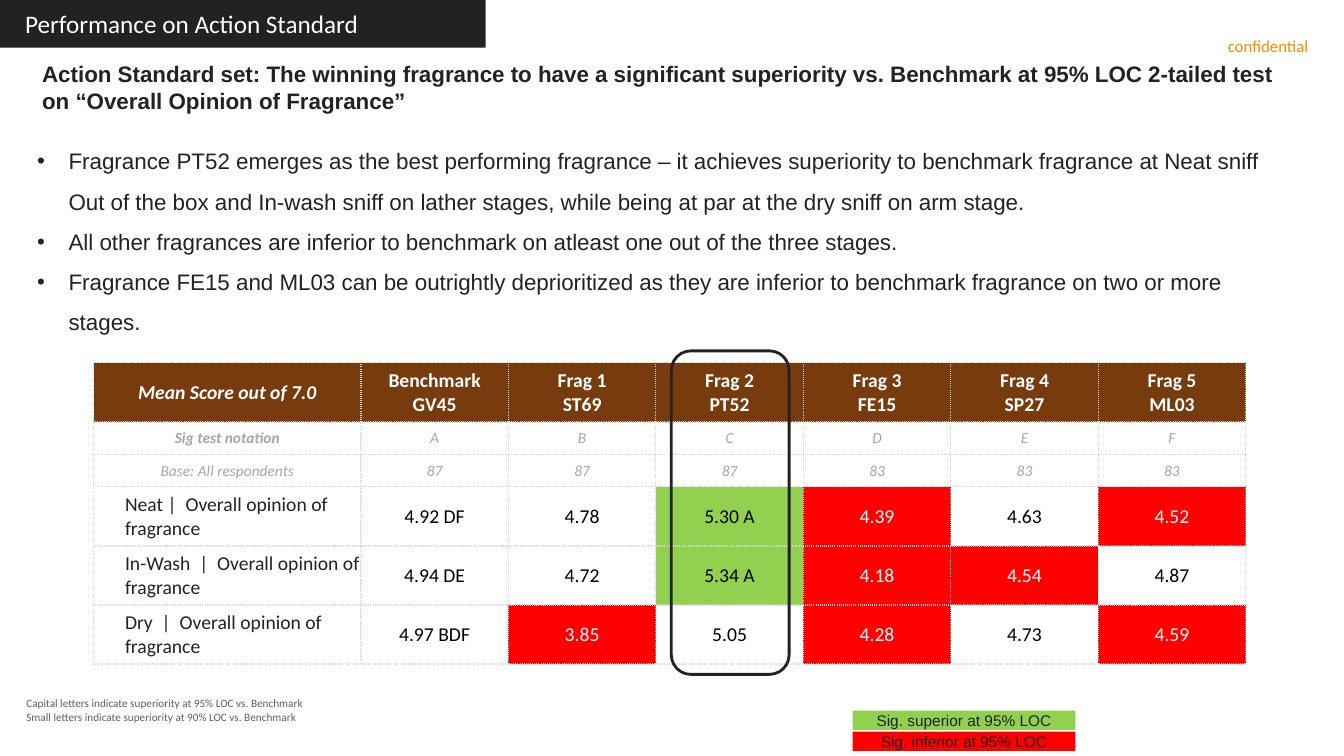
import lxml.etree
import pptx
import pptx.dml.color
import pptx.enum.shapes
import pptx.enum.text
import pptx.oxml.ns
import pptx.util

Pt = pptx.util.Pt
ALIGN = pptx.enum.text.PP_ALIGN
ANCHOR = pptx.enum.text.MSO_ANCHOR
SHAPE = pptx.enum.shapes.MSO_SHAPE
INK, WHITE, BLACK, GREY = "222223", "FFFFFF", "000000", "A6A6A6"
BROWN, GREEN, RED = "783B0D", "92D050", "FF0000"

HEADERS = ["Mean Score out of 7.0", "Benchmark\nGV45", "Frag 1\nST69", "Frag 2\nPT52",
           "Frag 3\nFE15", "Frag 4\nSP27", "Frag 5\nML03"]
NOTATION = ["Sig test notation", "A", "B", "C", "D", "E", "F"]
BASES = ["Base: All respondents", "87", "87", "87", "83", "83", "83"]
SCORES = [
    ["Neat |  Overall opinion of fragrance", "4.92 DF", "4.78", "5.30 A", "4.39", "4.63", "4.52"],
    ["In-Wash  |  Overall opinion of fragrance", "4.94 DE", "4.72", "5.34 A", "4.18", "4.54", "4.87"],
    ["Dry  |  Overall opinion of fragrance", "4.97 BDF", "3.85", "5.05", "4.28", "4.73", "4.59"],
]
INFERIOR = {"4.39", "4.52", "4.18", "4.54", "3.85", "4.28", "4.59"}
FINDINGS = (
    "Fragrance PT52 emerges as the best performing fragrance – it achieves superiority to benchmark "
    "fragrance at Neat sniff Out of the box and In-wash sniff on lather stages, while being at par "
    "at the dry sniff on arm stage.\n"
    "All other fragrances are inferior to benchmark on atleast one out of the three stages.\n"
    "Fragrance FE15 and ML03 can be outrightly deprioritized as they are inferior to benchmark "
    "fragrance on two or more stages.")


def rgb(color):
    """Return a colour from its hex string."""
    return pptx.dml.color.RGBColor.from_string(color)


def add_element(parent, tag, **attrs):
    """Append a DrawingML element with attributes and return it."""
    return lxml.etree.SubElement(parent, pptx.oxml.ns.qn(tag), **attrs)


def write(tf, text, size=14, color=INK, font="Calibri", bold=False, italic=False,
          align=ALIGN.LEFT, spacing=None, indent=0, bullet=None):
    """Write one formatted paragraph for each line of the text."""
    for i, line in enumerate(text.split("\n")):
        p = tf.add_paragraph() if i else tf.paragraphs[0]
        p.alignment = align
        if spacing:
            p.line_spacing = spacing
        pPr = p._p.get_or_add_pPr()
        if indent:
            pPr.set("marL", str(Pt(indent)))
            pPr.set("indent", str(-Pt(indent) if bullet else 0))
        if bullet:
            add_element(pPr, "a:buFont", typeface="Arial")
            add_element(pPr, "a:buChar", char=bullet)
        r = p.add_run()
        r.text = line
        r.font.size, r.font.name = Pt(size), font
        r.font.bold, r.font.italic = bold, italic
        r.font.color.rgb = rgb(color)


def add_text(s, box, text, inset=(7.2, 3.6), wrap=True, **style):
    """Add a text box with equal opposite insets."""
    tf = s.shapes.add_textbox(*map(Pt, box)).text_frame
    tf.word_wrap = wrap
    tf.margin_left = tf.margin_right = Pt(inset[0])
    tf.margin_top = tf.margin_bottom = Pt(inset[1])
    write(tf, text, **style)


def add_box(s, box, kind=SHAPE.RECTANGLE, fill=None, line=None, text=None, **style):
    """Add a preset shape with optional fill, outline and centred text."""
    sp = s.shapes.add_shape(kind, *map(Pt, box))
    sp.shadow.inherit = False
    if fill:
        sp.fill.solid()
        sp.fill.fore_color.rgb = rgb(fill)
    else:
        sp.fill.background()
    if line:
        sp.line.color.rgb, sp.line.width = rgb(line), Pt(2)
    else:
        sp.line.fill.background()
    if text:
        sp.text_frame.vertical_anchor = ANCHOR.MIDDLE
        write(sp.text_frame, text, align=ALIGN.CENTER, **style)


def fill_cell(cell, text, fill=None, **style):
    """Give a cell dotted borders, a fill and text."""
    tcPr = cell._tc.get_or_add_tcPr()
    for side in ("a:lnL", "a:lnR", "a:lnT", "a:lnB"):
        ln = add_element(tcPr, side, w=str(Pt(1)))
        add_element(add_element(ln, "a:solidFill"), "a:srgbClr", val="D9D9D9")
        add_element(ln, "a:prstDash", val="sysDot")
    if fill:
        cell.fill.solid()
        cell.fill.fore_color.rgb = rgb(fill)
    else:
        cell.fill.background()
    cell.vertical_anchor = ANCHOR.MIDDLE
    cell.margin_left = cell.margin_right = cell.margin_top = Pt(0.7)
    cell.margin_bottom = 0
    write(cell.text_frame, text, **style)


def score_style(text):
    """Return the fill and text colour that show a score's significance."""
    if text in INFERIOR:
        return {"fill": RED, "color": WHITE}
    return {"fill": GREEN if text.endswith(" A") else None, "color": BLACK}


def add_score_table(s):
    """Add the table of mean scores by fragrance and stage."""
    rows = [HEADERS, NOTATION, BASES] + SCORES
    table = s.shapes.add_table(len(rows), len(HEADERS), Pt(67), Pt(259.2), Pt(823), Pt(215)).table
    table.first_row = table.horz_banding = False
    for c, column in enumerate(table.columns):
        column.width = Pt(105.36 if c else 190.8)
    for r, texts in enumerate(rows):
        table.rows[r].height = Pt(23.2 if r in (1, 2) else 42.2)
        for c, text in enumerate(texts):
            style = {"align": ALIGN.CENTER}
            if r == 0:
                style.update(fill=BROWN, color=WHITE, bold=True, italic=c == 0)
            elif r < 3:
                style.update(size=11, color=GREY, italic=True, bold=text == NOTATION[0])
            elif c == 0:
                style.update(align=ALIGN.LEFT, indent=21.6)
            else:
                style.update(score_style(text))
            fill_cell(table.cell(r, c), text, **style)


def main():
    """Build and save the slide."""
    prs = pptx.Presentation()
    prs.slide_width, prs.slide_height = Pt(960), Pt(540)
    s = prs.slides.add_slide(prs.slide_layouts[6])
    add_text(s, (877, 25.2, 60.5, 14.4), "confidential", inset=(0, 0), wrap=False,
             size=12, color="FF8C00")
    add_score_table(s)
    add_box(s, (0, 0, 347, 34), fill=INK)
    add_text(s, (10.8, 2.2, 255.6, 28.8), "Performance on Action Standard", wrap=False,
             size=18, color=WHITE)
    add_text(s, (9.4, 492.5, 288.7, 28.8),
             "Capital letters indicate superiority at 95% LOC vs. Benchmark\n"
             "Small letters indicate superiority at 90% LOC vs. Benchmark",
             inset=(9.4, 5), size=8, color="5F5F5F")
    add_box(s, (479.5, 250.6, 84.2, 231.1), kind=SHAPE.ROUNDED_RECTANGLE, line=INK)
    add_text(s, (19.4, 92.2, 913, 149), FINDINGS, size=16, font="Arial",
             spacing=1.5, indent=22.5, bullet="•")
    add_text(s, (23, 39.6, 913, 46),
             "Action Standard set: The winning fragrance to have a significant superiority vs. "
             "Benchmark at 95% LOC 2-tailed test on “Overall Opinion of Fragrance”",
             size=16, font="Arial", bold=True)
    for i, (word, fill) in enumerate([("superior", GREEN), ("inferior", RED)]):
        add_box(s, (609.1, 507.6 + 15 * i, 159.1, 13.7), fill=fill,
                text=f"Sig. {word} at 95% LOC", size=11, font="Arial")
    prs.save("out.pptx")


if __name__ == "__main__":
    main()
